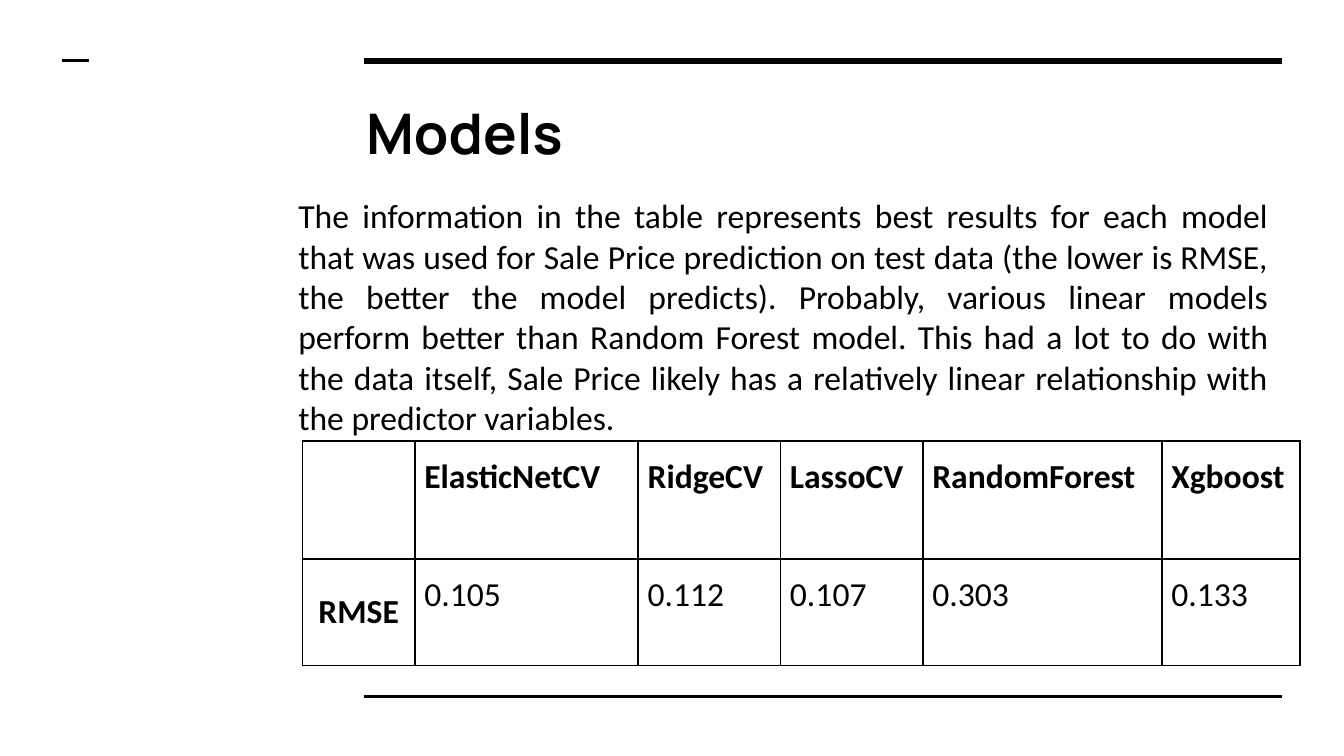
from lxml.etree import SubElement as Sub
from pptx import Presentation
from pptx.dml.color import RGBColor
from pptx.enum.shapes import MSO_CONNECTOR as Link
from pptx.enum.text import MSO_ANCHOR as Anchor, MSO_AUTO_SIZE as Fit, PP_ALIGN as Align
from pptx.oxml.ns import qn
from pptx.util import Cm, Pt

BLACK = RGBColor(0, 0, 0)
INK = RGBColor(2, 2, 2)

# Content
TITLE = "Models"
BODY = [
    ("The information in the table represents best results for each model "
     "that was used for Sale Price prediction on test data (the lower is RMSE, "
     "the better the model predicts). Probably, various linear models "
     "perform better than ", INK),
    ("Random Forest", BLACK),
    (" model. This had a lot to do with the data itself, Sale Price likely has "
     "a relatively linear relationship with the predictor variables.", INK),
]
ROWS = [
    ["", "ElasticNetCV", "RidgeCV", "LassoCV", "RandomForest", "Xgboost"],
    ["RMSE", "0.105", "0.112", "0.107", "0.303", "0.133"],
]

# Layout in cm: left, top, width, height, or x1, x2, y, points
TITLE_BOX = (6.67, 1.61, 17.55, 1.75)
BODY_BOX = (5.39, 3.44, 18.84, 4.45)
COLS = [2.12, 4.22, 2.69, 2.69, 4.52, 2.61]
HIGHS = [2.23, 2.02]
GRID_AT = (5.72, 8.33)
RULES = [(6.88, 24.23, 1.15, 3), (6.88, 24.23, 13.16, 1.5), (1.18, 1.69, 1.15, 1.5)]

FONT = {"name": "Calibri", "size": Pt(18), "bold": False}
HEAD = {"name": "Manrope", "size": Pt(30), "bold": True}
FRAME = {"word_wrap": True, "auto_size": Fit.NONE, "vertical_anchor": Anchor.TOP}
SIDES = ("left", "right", "top", "bottom")


def put(item, vals):
    for key, val in vals.items():
        setattr(item, key, val)


def pad(item, gap):
    put(item, {f"margin_{side}": Cm(gap) for side in SIDES})


def place(item, box):
    put(item, dict(zip(("left", "top", "width", "height"), map(Cm, box))))


def write(para, text, form, color):
    run = para.add_run()
    run.text = text
    put(run.font, form)
    run.font.color.rgb = color


def edge(cell):
    props = cell._tc.get_or_add_tcPr()
    for i, tag in enumerate(("a:lnL", "a:lnR", "a:lnT", "a:lnB")):
        line = props.makeelement(qn(tag), {"w": str(Pt(1))})
        fill = Sub(line, qn("a:solidFill"))
        Sub(fill, qn("a:srgbClr"), val=str(BLACK))
        props.insert(i, line)


# Slide of 16 to 9
deck = Presentation()
put(deck, {"slide_width": Pt(720), "slide_height": Pt(405)})
slide = deck.slides.add_slide(deck.slide_layouts[5])
shapes = slide.shapes

# Rules
for x1, x2, y, size in RULES:
    rule = shapes.add_connector(Link.STRAIGHT, Cm(x1), Cm(y), Cm(x2), Cm(y))
    rule.line.color.rgb = BLACK
    rule.line.width = Pt(size)
    Sub(rule._element.spPr, qn("a:effectLst"))

# Title
title = shapes.title
place(title, TITLE_BOX)
put(title.text_frame, FRAME)
pad(title.text_frame, 0.25)
head = title.text_frame.paragraphs[0]
head.alignment = Align.LEFT
write(head, TITLE, HEAD, BLACK)

# Table of scores
grid = shapes.add_table(len(ROWS), len(COLS), *map(Cm, GRID_AT),
                        Cm(sum(COLS)), Cm(sum(HIGHS))).table
put(grid, {"first_row": False, "horz_banding": False})
for col, wide in zip(grid.columns, COLS):
    col.width = Cm(wide)
for row, high in zip(grid.rows, HIGHS):
    row.height = Cm(high)
for r, row in enumerate(ROWS):
    for c, text in enumerate(row):
        cell = grid.cell(r, c)
        cell.fill.background()
        pad(cell, 0.18)
        edge(cell)
        label = c == 0
        cell.vertical_anchor = Anchor.MIDDLE if label else Anchor.TOP
        if text:
            para = cell.text_frame.paragraphs[0]
            put(para, {"alignment": Align.CENTER if label else Align.JUSTIFY,
                       "line_spacing": 1.0 if label else 1.15})
            write(para, text, {**FONT, "bold": label or r == 0},
                  INK if label else BLACK)

# Body text
body = shapes.add_textbox(*map(Cm, BODY_BOX)).text_frame
put(body, FRAME)
pad(body, 0.25)
para = body.paragraphs[0]
put(para, {"alignment": Align.JUSTIFY, "space_after": Pt(11)})
for text, color in BODY:
    write(para, text, FONT, color)

deck.save("out.pptx")
